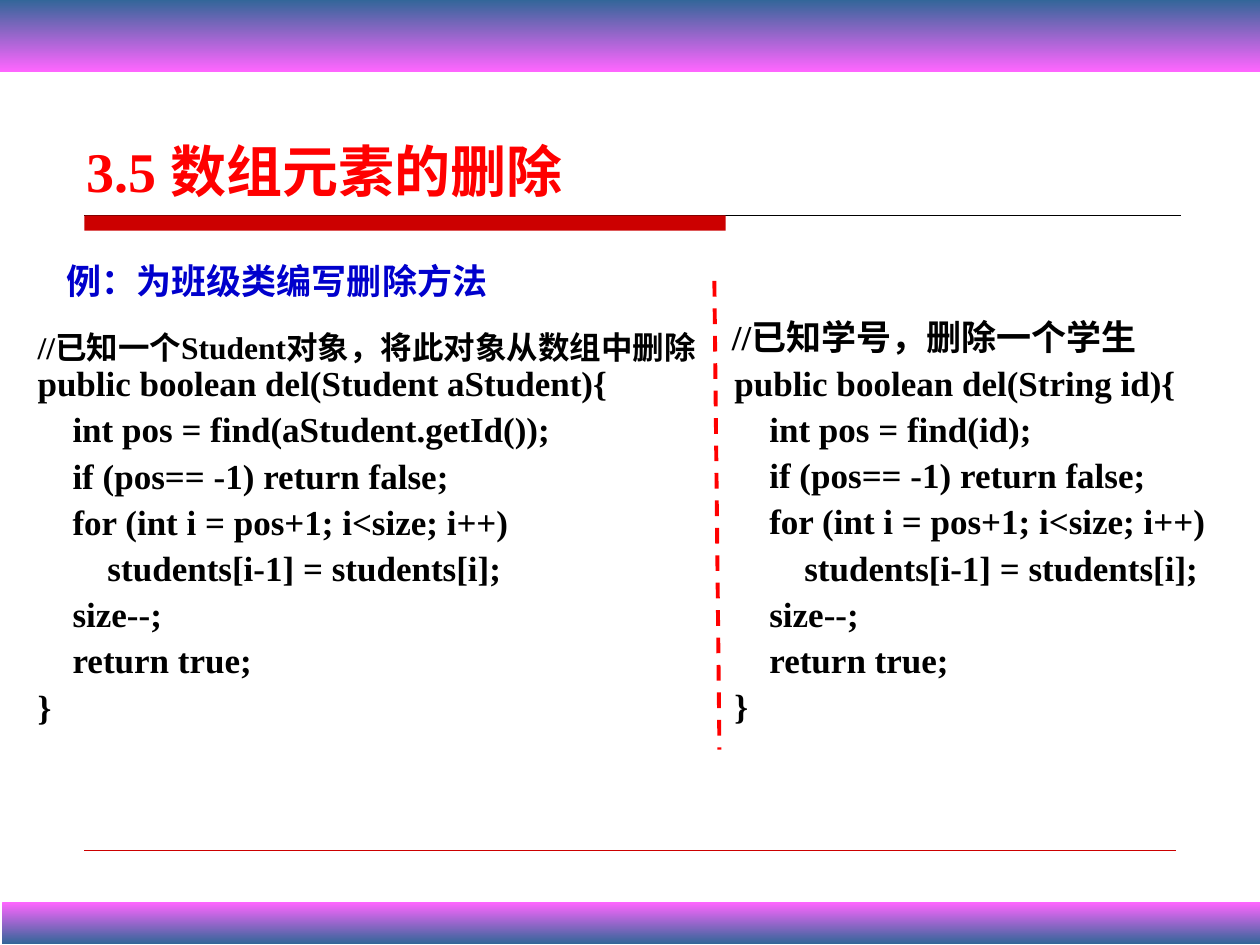
"""Build the slide on deleting array elements, with two Java methods side by side."""
from lxml import etree
from pptx import Presentation
from pptx.dml.color import RGBColor
from pptx.enum import dml, shapes, text
from pptx.oxml.ns import qn
from pptx.util import Inches, Pt

THEME = {
    "font": "Times New Roman",
    "black": RGBColor(0x00, 0x00, 0x00),
    "blue": RGBColor(0x00, 0x00, 0xCC),
    "red": RGBColor(0xFF, 0x00, 0x00),
    "bar": RGBColor(0xCC, 0x00, 0x00),
    "steel": RGBColor(0x33, 0x66, 0x99),
    "pink": RGBColor(0xFF, 0x66, 0xFF),
    "title": Pt(32),
    "code": Pt(20),
    "note": Pt(18),
}


def add_text(s, box, paras, color, spacing, anchor):
    tf = s.shapes.add_textbox(*map(Inches, box)).text_frame
    tf.word_wrap = True
    tf.vertical_anchor = anchor
    for i, runs in enumerate(paras):
        p = tf.paragraphs[0] if i == 0 else tf.add_paragraph()
        p.line_spacing = spacing
        p.space_before = Pt(4.8 if i else 0)
        for words, size in runs:
            r = p.add_run()
            r.text = words
            r.font.color.rgb = THEME[color]
            font = {"name": THEME["font"], "size": THEME[size], "bold": True}
            for key, value in font.items():
                setattr(r.font, key, value)
    return tf


def add_line(s, start, end, color, width):
    sp = s.shapes.add_connector(
        shapes.MSO_CONNECTOR.STRAIGHT, *map(Inches, start + end))
    sp.line.color.rgb = THEME[color]
    sp.line.width = Pt(width)
    etree.SubElement(sp._element.spPr, qn("a:effectLst"))
    return sp


prs = Presentation()
prs.slide_width, prs.slide_height = Inches(10), Inches(7.5)
s = prs.slides.add_slide(prs.slide_layouts[6])

add_line(s, (0.67, 1.71), (9.37, 1.71), "black", 0.75)
bar = s.shapes.add_shape(
    shapes.MSO_SHAPE.RECTANGLE, *map(Inches, (0.67, 1.71, 5.09, 0.12)))
bar.shadow.inherit = False
bar.fill.solid()
bar.fill.fore_color.rgb = THEME["bar"]
bar.line.fill.background()
add_line(s, (0.67, 6.75), (9.33, 6.75), "bar", 0.25)

loop = [
    "    if (pos== -1) return false;",
    "    for (int i = pos+1; i<size; i++)",
    "        students[i-1] = students[i];",
    "    size--;",
    "    return true;",
    "}",
]
by_student = [[("//已知一个Student对象，将此对象从数组中删除", "note"),
               ("public boolean del(Student aStudent){", "code")]]
by_student += [[(line, "code")] for line in
               ["    int pos = find(aStudent.getId());"] + loop]
by_id = [[(line, "code")] for line in
         ["//已知学号，删除一个学生", "public boolean del(String id){",
          "    int pos = find(id);"] + loop]

top, bottom = text.MSO_ANCHOR.TOP, text.MSO_ANCHOR.BOTTOM
add_text(s, (0.2, 2.59, 5.57, 3.63), by_student, "black", 0.9, top)
add_text(s, (0.43, 1.86, 3.78, 0.57),
         [[("例：为班级类编写删除方法", "code")]], "blue", 0.6, bottom)
add_text(s, (0.59, 0.99, 5.98, 0.66),
         [[("3.5 数组元素的删除", "title")]], "red", 0.7, bottom)

for box, colors in (
    ((0.02, 7.16, 10, 0.33), ("pink", "steel")),
    ((0, 0, 10, 0.57), ("steel", "pink")),
):
    sp = s.shapes.add_shape(shapes.MSO_SHAPE.RECTANGLE, *map(Inches, box))
    sp.shadow.inherit = False
    sp.line.fill.background()
    sp.fill.gradient()
    sp.fill.gradient_angle = 270
    for position, (stop, color) in enumerate(zip(sp.fill.gradient_stops, colors)):
        stop.position = position
        stop.color.rgb = THEME[color]

tf = add_text(s, (5.71, 2.49, 4.01, 3.69), by_id, "black", 0.9, top)
for p in tf.paragraphs[1:]:
    p._p.get_or_add_pPr().set("marL", str(Inches(0.02)))

divider = add_line(s, (5.67, 2.23), (5.71, 5.95), "red", 2.25)
divider.line.dash_style = dml.MSO_LINE.DASH

prs.save("out.pptx")
